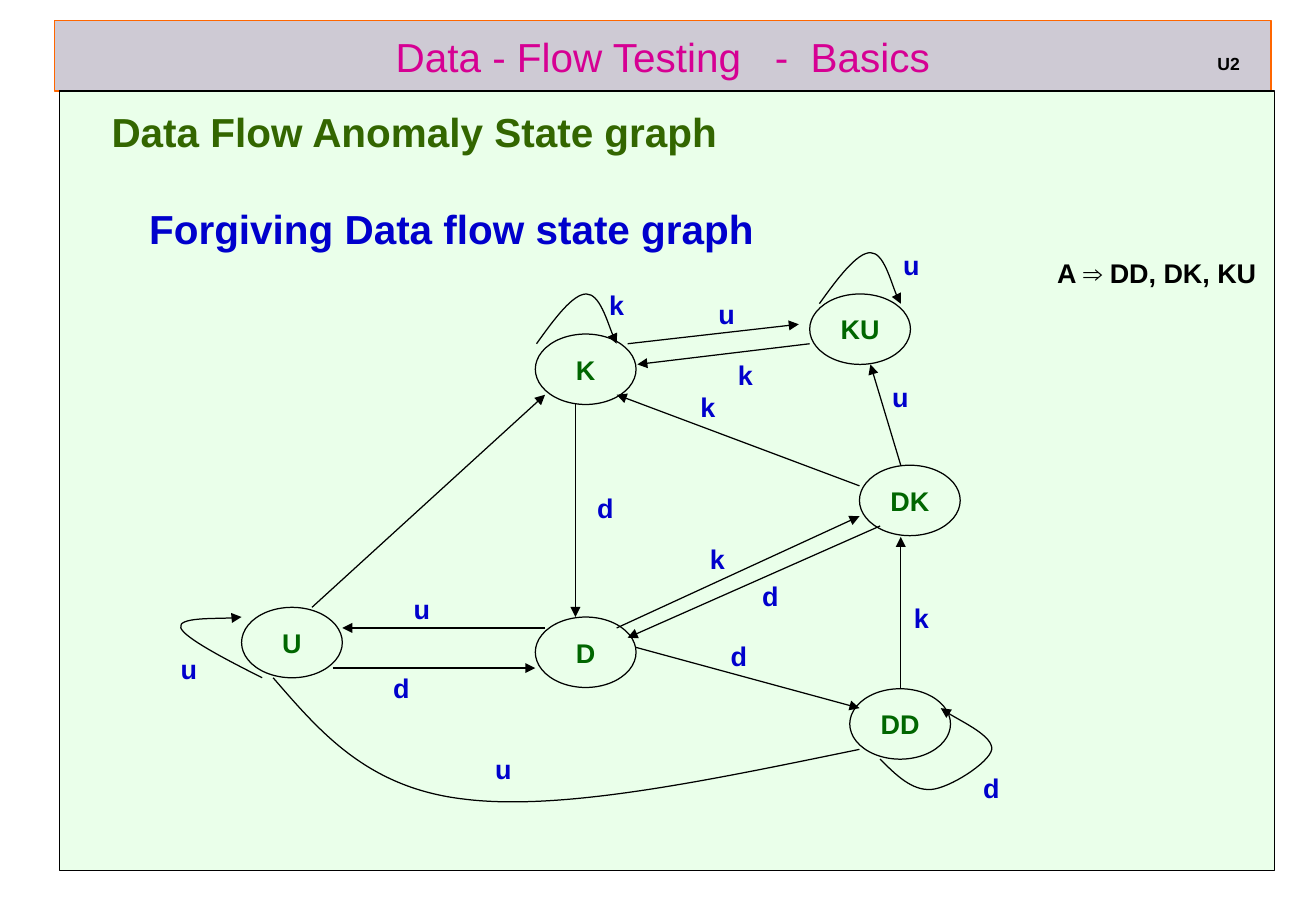
"""Build the data-flow anomaly state graph slide."""
import pptx
import pptx.dml.color
import pptx.enum.shapes
import pptx.enum.text
import pptx.oxml
import pptx.oxml.ns
import pptx.util

Inches, Pt = pptx.util.Inches, pptx.util.Pt
RGBColor = pptx.dml.color.RGBColor
ALIGN = pptx.enum.text.PP_ALIGN
ANCHOR = pptx.enum.text.MSO_ANCHOR
FIT = pptx.enum.text.MSO_AUTO_SIZE
SHAPE = pptx.enum.shapes.MSO_SHAPE
qn = pptx.oxml.ns.qn
NS = pptx.oxml.ns.nsdecls("a")

BLACK = RGBColor(0x00, 0x00, 0x00)
BLUE = RGBColor(0x00, 0x00, 0xCC)
GREEN = RGBColor(0x00, 0x66, 0x00)
OLIVE = RGBColor(0x33, 0x66, 0x00)
MAGENTA = RGBColor(0xD6, 0x00, 0x93)
ORANGE = RGBColor(0xFF, 0x66, 0x00)
GREY = RGBColor(0xCE, 0xCA, 0xD4)
MINT = RGBColor(0xCC, 0xFF, 0xCC)

STATES = [("K", 4.41, 2.75), ("D", 4.41, 5.08), ("U", 1.99, 5), ("DD", 7, 5.67),
          ("KU", 6.67, 2.42), ("DK", 7.08, 3.83)]
ARROWS = [
    (4.49, 5.17, 2.82, 5.17), (2.74, 5.5, 4.41, 5.5), (2.57, 5, 4.49, 3.25),
    (4.74, 3.33, 4.74, 5.08), (5.24, 5.33, 7.08, 5.83), (5.17, 2.83, 6.58, 2.67),
    (7.42, 5.67, 7.42, 4.42), (7.42, 3.83, 7.17, 3), (5.08, 5.17, 7.08, 4.25),
    (7.25, 4.33, 5.17, 5.25), (7.08, 4, 5.08, 3.25), (6.67, 2.83, 5.25, 3),
]
LOOPS = [
    [(2.16, 5.58), (1.84, 5.42), (1.52, 5.25), (1.49, 5.17),
     (1.46, 5.08), (1.89, 5.1), (1.99, 5.08)],
    [(7.25, 6.25), (7.38, 6.38), (7.51, 6.51), (7.67, 6.5), (7.82, 6.49),
     (8.15, 6.28), (8.17, 6.17), (8.18, 6.06), (7.82, 5.89), (7.75, 5.83)],
    [(4.42, 2.83), (4.57, 2.62), (4.72, 2.42), (4.83, 2.42),
     (4.94, 2.42), (5.04, 2.76), (5.08, 2.83)],
    [(6.75, 2.5), (6.9, 2.29), (7.06, 2.08), (7.17, 2.08),
     (7.28, 2.08), (7.37, 2.43), (7.42, 2.5)],
]
DD_TO_U = [(7.08, 6.17), (5.86, 6.42), (4.64, 6.68), (3.83, 6.58),
           (3.03, 6.49), (2.64, 6.03), (2.25, 5.58)]
EDGE_LABELS = {
    "u": [(1.39, 5.32), (3.31, 4.83), (3.98, 6.15), (7.25, 3.08), (7.34, 2), (5.82, 2.4)],
    "d": [(3.14, 5.48), (5.92, 5.22), (8, 6.3), (4.82, 4), (6.18, 4.72)],
    "k": [(4.92, 2.33), (7.43, 4.9), (5.75, 4.42), (5.67, 3.17), (5.98, 2.9)],
}


def set_all(obj, values):
    for name, value in values.items():
        setattr(obj, name, value)


def write(p, text, size, color, bold=True):
    r = p.add_run()
    r.text = text
    set_all(r.font, {"name": "Arial", "size": Pt(size), "bold": bold})
    r.font.color.rgb = color
    return r


def set_line(sp, color=BLACK, arrow=False):
    sp.line.color.rgb = color
    sp.line.width = Pt(0.75)
    if arrow:
        sp.line._get_or_add_ln().append(
            pptx.oxml.parse_xml(f'<a:tailEnd {NS} type="triangle"/>'))


def add_title(s, text):
    sp = s.shapes.title
    set_all(sp, {"left": Inches(0.45), "top": Inches(0.17),
                 "width": Inches(10.02), "height": Inches(0.58)})
    sp.fill.solid()
    sp.fill.fore_color.rgb = GREY
    set_line(sp, ORANGE)
    set_all(sp.text_frame, {"vertical_anchor": ANCHOR.MIDDLE, "auto_size": FIT.NONE})
    p = sp.text_frame.paragraphs[0]
    p.alignment = ALIGN.CENTER
    write(p, text, 24, MAGENTA, False)


def add_panel(s):
    sp = s.shapes.add_shape(SHAPE.RECTANGLE, Inches(0.49), Inches(0.75),
                            Inches(10.01), Inches(6.42))
    sp.shadow.inherit = False
    sp.fill.solid()
    sp.fill.fore_color.rgb = MINT
    color = sp._element.spPr.find(qn("a:solidFill"))[0]
    color.append(pptx.oxml.parse_xml(f'<a:alpha {NS} val="40000"/>'))
    set_line(sp)


def add_label(s, text, x, y, w=0.33, h=0.37, size=16, color=BLUE,
              wrap=False, fit=FIT.SHAPE_TO_FIT_TEXT):
    sp = s.shapes.add_textbox(Inches(x), Inches(y), Inches(w), Inches(h))
    set_all(sp.text_frame, {"word_wrap": wrap, "auto_size": fit})
    return write(sp.text_frame.paragraphs[0], text, size, color)


def add_headings(s):
    sp = s.shapes.add_textbox(Inches(0.5), Inches(0.83), Inches(9.92), Inches(1.3))
    tf = sp.text_frame
    tf.word_wrap = True
    first, second = tf.paragraphs[0], tf.add_paragraph()
    second.space_before = Pt(29)
    for p, text, color, margin, indent in (
            (first, "Data Flow Anomaly State graph", OLIVE, 0.5, -0.18),
            (second, "Forgiving Data flow state graph", BLUE, 1, -0.37)):
        pPr = p._p.get_or_add_pPr()
        pPr.set("marL", str(Inches(margin)))
        pPr.set("indent", str(Inches(indent)))
        write(p, text, 24, color)


def add_state(s, name, x, y):
    sp = s.shapes.add_shape(SHAPE.OVAL, Inches(x), Inches(y), Inches(0.83), Inches(0.58))
    sp.shadow.inherit = False
    sp.fill.background()
    set_line(sp)
    set_all(sp.text_frame, {"word_wrap": False, "vertical_anchor": ANCHOR.MIDDLE})
    p = sp.text_frame.paragraphs[0]
    p.alignment = ALIGN.CENTER
    write(p, name, 16, GREEN)


def add_arrow(s, *ends):
    sp = s.shapes.add_connector(pptx.enum.shapes.MSO_CONNECTOR.STRAIGHT,
                                *(Inches(v) for v in ends))
    set_line(sp, arrow=True)
    sp._element.spPr.append(pptx.oxml.parse_xml(f"<a:effectLst {NS}/>"))


def add_curve(s, points, arrow=True):
    start, *rest = [(Inches(x), Inches(y)) for x, y in points]
    builder = s.shapes.build_freeform(*start)
    builder.add_line_segments(rest, close=False)
    sp = builder.convert_to_shape()
    sp.shadow.inherit = False
    sp.fill.background()
    set_line(sp, arrow=arrow)
    outline = sp._element.spPr.find(".//" + qn("a:path"))
    steps = outline.findall(qn("a:lnTo"))
    for i in range(0, len(steps), 3):
        bezier = pptx.oxml.parse_xml(f"<a:cubicBezTo {NS}/>")
        for step in steps[i:i + 3]:
            bezier.append(step[0])
            outline.remove(step)
        outline.append(bezier)


def main():
    prs = pptx.Presentation()
    prs.slide_width, prs.slide_height = Inches(10.84), Inches(7.5)
    s = prs.slides.add_slide(prs.slide_layouts[5])
    add_title(s, "Data - Flow Testing   -  Basics")
    add_panel(s)
    unit = add_label(s, "U2", 9.93, 0.25, 0.6, 0.41, 18, BLACK, True, FIT.NONE)
    unit.font._element.set("baseline", "-12000")
    add_headings(s)
    for state in STATES:
        add_state(s, *state)
    for arrow in ARROWS:
        add_arrow(s, *arrow)
    for loop in LOOPS:
        add_curve(s, loop)
    add_curve(s, DD_TO_U, arrow=False)
    for text, places in EDGE_LABELS.items():
        for x, y in places:
            add_label(s, text, x, y)
    add_label(s, "A ⇒ DD, DK, KU", 8.61, 2.06, 1.86, color=BLACK)
    prs.save("out.pptx")


if __name__ == "__main__":
    main()
